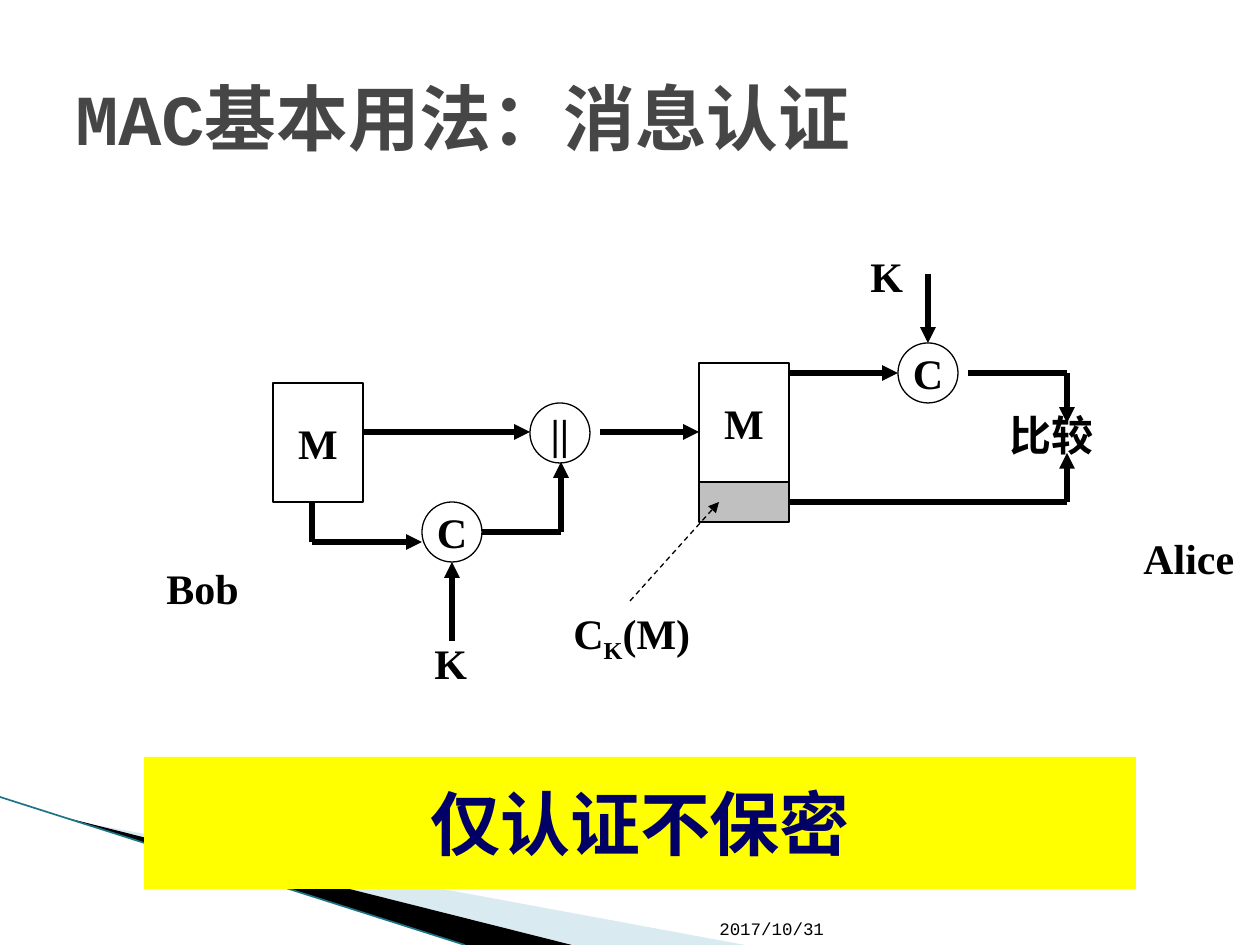
from itertools import pairwise

from lxml import etree
from pptx import Presentation
from pptx import util as u
from pptx.dml import color
from pptx.enum import dml, shapes, text
from pptx.oxml import ns

PX = 914400 / 126
SERIF = "Times New Roman"
MONO = "Courier New"
BLACK = "000000"
WHITE = "FFFFFF"
RECT = shapes.MSO_SHAPE.RECTANGLE
OVAL = shapes.MSO_SHAPE.OVAL
TOP = text.MSO_ANCHOR.TOP
MIDDLE = text.MSO_ANCHOR.MIDDLE
BOTTOM = text.MSO_ANCHOR.BOTTOM


def px(*values):
    return [u.Emu(round(v * PX)) for v in values]


def rgb(value):
    return color.RGBColor.from_string(value)


def style_run(r, size, font, fill, bold):
    r.font.size = u.Pt(size)
    r.font.name = font
    r.font.bold = bold
    r.font.color.rgb = rgb(fill)


def add_label(s, box, words, size=24, font=SERIF, fill=BLACK, bold=True, anchor=TOP):
    tf = s.shapes.add_textbox(*px(*box)).text_frame
    tf.word_wrap = True
    tf.vertical_anchor = anchor
    p = tf.paragraphs[0]
    p.text = words
    style_run(p.runs[0], size, font, fill, bold)
    return p


def add_mac_label(s, box):
    p = add_label(s, box, "C")
    for words in ("K", "(M)"):
        r = p.add_run()
        r.text = words
        style_run(r, 24, SERIF, BLACK, True)
    p.runs[1].font._element.set("baseline", "-25000")


def add_node(s, kind, box, words="", fill=WHITE, outline=BLACK, size=24, ink=BLACK):
    sp = s.shapes.add_shape(kind, *px(*box))
    sp.shadow.inherit = False
    sp.fill.solid()
    sp.fill.fore_color.rgb = rgb(fill)
    if outline:
        sp.line.color.rgb = rgb(outline)
        sp.line.width = u.Pt(0.75)
    else:
        sp.line.fill.background()
    if words:
        tf = sp.text_frame
        tf.word_wrap = False
        tf.vertical_anchor = MIDDLE
        p = tf.paragraphs[0]
        p.text = words
        p.alignment = text.PP_ALIGN.CENTER
        style_run(p.runs[0], size, SERIF, ink, True)


def add_line(s, start, end, width=3, ink=BLACK, arrow=False, dashed=False):
    c = s.shapes.add_connector(shapes.MSO_CONNECTOR.STRAIGHT, *px(*start, *end))
    c.line.color.rgb = rgb(ink)
    c.line.width = u.Pt(width)
    if dashed:
        c.line.dash_style = dml.MSO_LINE.DASH
    if arrow:
        etree.SubElement(c.line._get_or_add_ln(), ns.qn("a:tailEnd"), type="triangle")
    etree.SubElement(c._element.spPr, ns.qn("a:effectLst"))


def add_route(s, *points):
    for start, end in pairwise(points):
        add_line(s, start, end, arrow=end == points[-1])


def add_wedge(s, points, fill, opacity=100):
    builder = s.shapes.build_freeform(*points[0], scale=PX)
    builder.add_line_segments(points[1:], close=True)
    sp = builder.convert_to_shape()
    sp.shadow.inherit = False
    sp.fill.solid()
    sp.fill.fore_color.rgb = rgb(fill)
    sp.line.fill.background()
    if opacity < 100:
        clr = sp._element.spPr.find(".//" + ns.qn("a:srgbClr"))
        etree.SubElement(clr, ns.qn("a:alpha"), val=str(opacity * 1000))


def add_decoration(s):
    add_wedge(s, [(69, 820), (745, 945), (574, 945)], "A0CBDC", 40)
    add_wedge(s, [(67, 818), (572, 945), (465, 945)], BLACK)
    add_line(s, (0, 797), (465, 945), 0.95, "1B7587")


def add_sender(s):
    add_label(s, (154, 556, 179, 63), "Bob")
    add_node(s, RECT, (273, 383, 90, 119), "M")
    add_route(s, (363, 432), (530, 432))
    add_node(s, OVAL, (530, 403, 60, 60), "||")
    add_route(s, (452, 641), (452, 562))
    add_label(s, (422, 631, 89, 63), "K")
    add_node(s, OVAL, (422, 502, 60, 60), "C")
    add_route(s, (312, 502), (312, 542), (422, 542))
    add_route(s, (482, 532), (561, 532), (561, 462))
    add_route(s, (600, 432), (699, 432))


def add_receiver(s):
    add_label(s, (1131, 526, 129, 63), "Alice")
    add_node(s, RECT, (699, 363, 90, 119), "M")
    add_node(s, RECT, (699, 482, 90, 40), fill="C0C0C0")
    add_route(s, (789, 373), (898, 373))
    add_node(s, OVAL, (898, 343, 60, 60), "C")
    add_label(s, (858, 244, 49, 63), "K")
    add_route(s, (928, 274), (928, 343))
    add_route(s, (968, 373), (1067, 373), (1067, 423))
    add_route(s, (789, 502), (1067, 502), (1067, 453))
    add_label(s, (997, 403, 118, 63), "比较")
    add_mac_label(s, (561, 601, 179, 63))
    add_line(s, (630, 601), (719, 502), 0.75, arrow=True, dashed=True)


def main():
    prs = Presentation()
    prs.slide_width, prs.slide_height = px(1260, 945)
    s = prs.slides.add_slide(prs.slide_layouts[6])
    add_decoration(s)
    add_label(s, (707, 883, 141, 62), "2017/10/31", 10, MONO, bold=False, anchor=BOTTOM)
    add_label(s, (63, 38, 1134, 157), "MAC基本用法：消息认证", 41, MONO, "464646", anchor=MIDDLE)
    add_sender(s)
    add_receiver(s)
    add_node(s, RECT, (144, 757, 992, 132), "仅认证不保密", "FFFF00", None, 40, "000066")
    prs.save("out.pptx")


if __name__ == "__main__":
    main()
